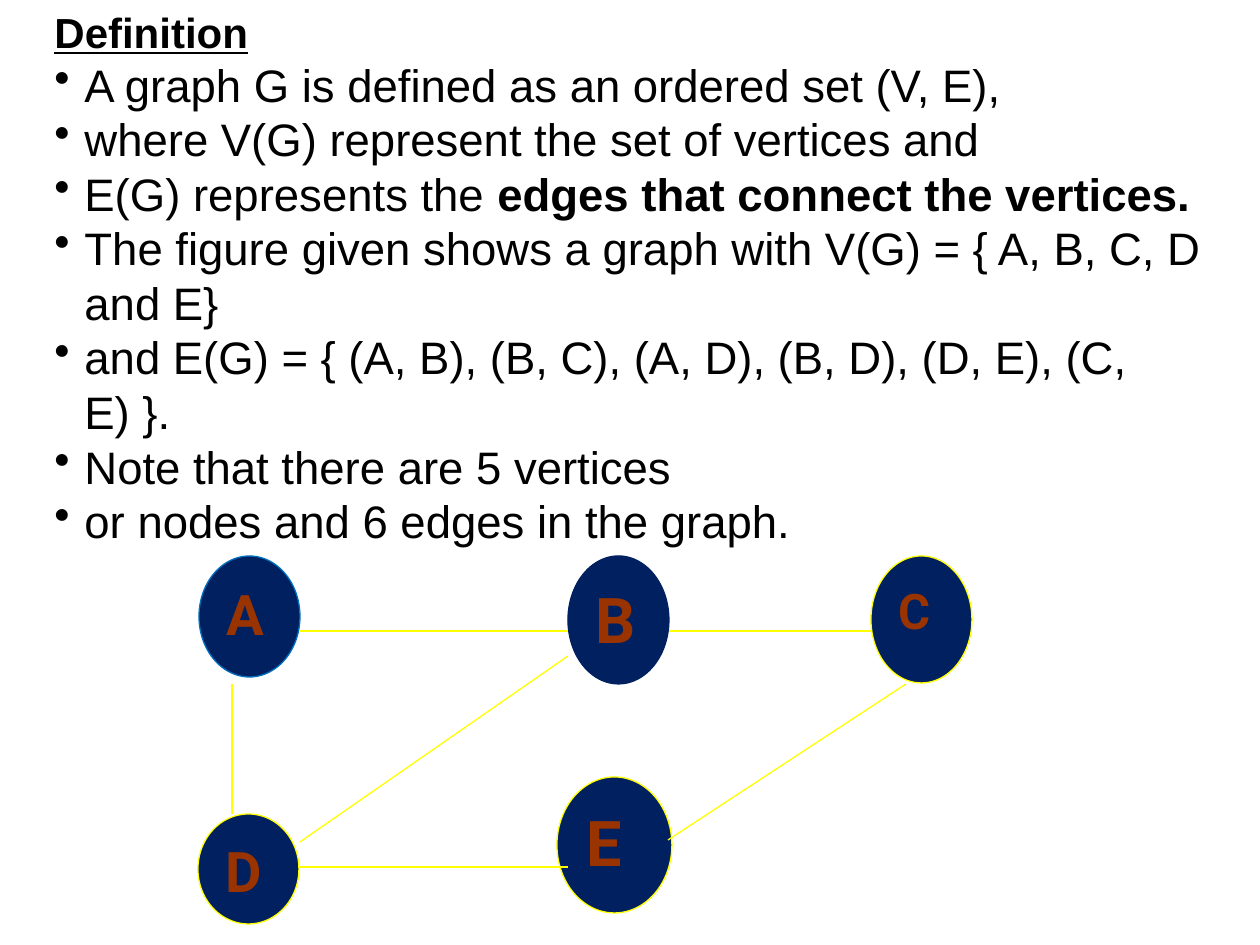
import lxml.etree
import pptx
import pptx.dml.color
import pptx.enum.shapes
import pptx.enum.text
import pptx.oxml.ns
import pptx.util

EMU_PER_PX = 914400 / 126
COLORS = {
    "text": "000000",
    "node": "002060",
    "blue": "0070C0",
    "yellow": "FFFF00",
    "letter": "993300",
}
# Each paragraph is a list of (text, bold) runs.
DEFINITION = [
    [("A graph G is defined as an ordered set (V, E),", False)],
    [("where V(G) represent the set of vertices and", False)],
    [("E(G) represents the ", False), ("edges that connect the vertices.", True)],
    [("The figure given shows a graph with V(G) = { A, B, C, D and E}", False)],
    [("and E(G) = { (A, B), (B, C), (A, D), (B, D), (D, E), (C, E) }.", False)],
    [("Note that there are 5 vertices", False)],
    [("or nodes and 6 edges in the graph.", False)],
]
# Letter, (left, top, width, height), letter size, outline colour
NODES = [
    ("A", (199, 556, 101, 121), 32, "blue"),
    ("B", (568, 556, 101, 128), 36, "node"),
    ("C", (871, 556, 101, 127), 28, "yellow"),
    ("D", (198, 814, 101, 110), 32, "yellow"),
    ("E", (557, 777, 115, 136), 36, "yellow"),
]
# Start and end points
EDGES = [
    (232, 684, 232, 814),
    (300, 631, 568, 631),
    (300, 867, 568, 867),
    (300, 842, 568, 656),
    (669, 631, 871, 631),
    (906, 684, 668, 840),
]


def px(*lengths):
    return [pptx.util.Emu(round(length * EMU_PER_PX)) for length in lengths]


def rgb(name):
    return pptx.dml.color.RGBColor.from_string(COLORS[name])


class GraphSlide:
    body_font = "Arial"
    node_font = "Roboto"
    line_width = pptx.util.Pt(0.75)
    indent = 30

    def __init__(self, presentation):
        self.slide = presentation.slides.add_slide(presentation.slide_layouts[6])

    def style(self, paragraph, font_name, size, color, bold=None):
        font = paragraph.font
        font.name = font_name
        font.size = pptx.util.Pt(size)
        font.color.rgb = rgb(color)
        font.bold = bold

    def bullet(self, paragraph):
        properties = paragraph._p.get_or_add_pPr()
        indent = px(self.indent)[0]
        properties.set("marL", str(indent))
        properties.set("indent", str(-indent))
        mark = lxml.etree.SubElement(properties, pptx.oxml.ns.qn("a:buChar"))
        mark.set("char", "•")

    def text(self, box, heading, items):
        frame = self.slide.shapes.add_textbox(*px(*box)).text_frame
        frame.word_wrap = True
        title = frame.paragraphs[0]
        title.text = heading
        self.style(title, self.body_font, 24, "text", True)
        title.font.underline = True
        for runs in items:
            paragraph = frame.add_paragraph()
            self.bullet(paragraph)
            self.style(paragraph, self.body_font, 26, "text")
            for words, bold in runs:
                run = paragraph.add_run()
                run.text = words
                run.font.bold = bold

    def node(self, letter, box, size, outline):
        shape = self.slide.shapes.add_shape(
            pptx.enum.shapes.MSO_SHAPE.OVAL, *px(*box))
        shape.shadow.inherit = False
        shape.fill.solid()
        shape.fill.fore_color.rgb = rgb("node")
        shape.line.color.rgb = rgb(outline)
        shape.line.width = self.line_width
        frame = shape.text_frame
        frame.vertical_anchor = pptx.enum.text.MSO_ANCHOR.TOP
        paragraph = frame.paragraphs[0]
        paragraph.text = letter
        paragraph.alignment = pptx.enum.text.PP_ALIGN.LEFT
        self.style(paragraph, self.node_font, size, "letter", True)

    def edge(self, points):
        connector = self.slide.shapes.add_connector(
            pptx.enum.shapes.MSO_CONNECTOR.STRAIGHT, *px(*points))
        connector.line.color.rgb = rgb("yellow")
        connector.line.width = self.line_width
        lxml.etree.SubElement(
            connector._element.spPr, pptx.oxml.ns.qn("a:effectLst"))


def main():
    presentation = pptx.Presentation()
    presentation.slide_width, presentation.slide_height = px(1260, 945)
    graph = GraphSlide(presentation)
    graph.text((42, 0, 1188, 556), "Definition", DEFINITION)
    for node in NODES:
        graph.node(*node)
    for points in EDGES:
        graph.edge(points)
    presentation.save("out.pptx")


if __name__ == "__main__":
    main()
